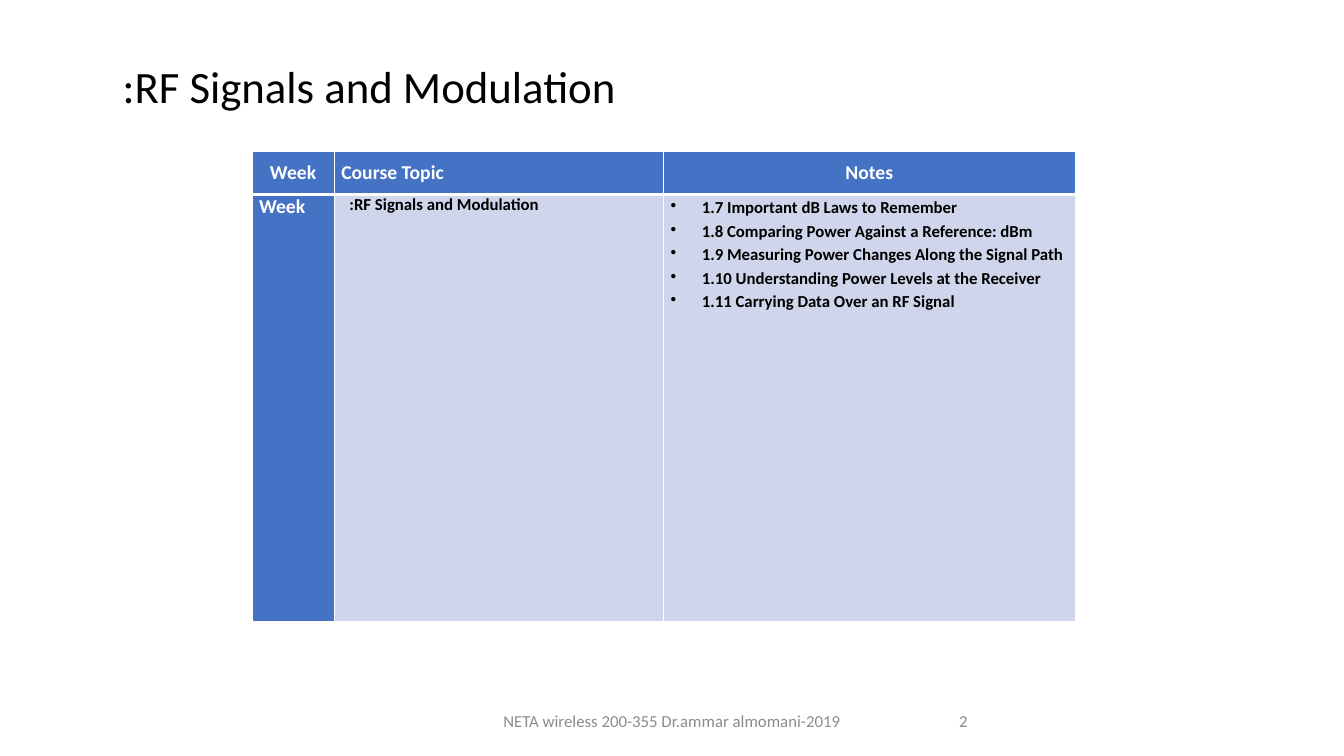
import pptx
import pptx.util
import pptx.dml.color
import pptx.enum.text
import pptx.oxml
import pptx.oxml.ns
import lxml.etree

FONT = "Calibri"
COLORS = {
    "text": "000000",
    "white": "FFFFFF",
    "header": "4472C4",
    "body": "CFD5EA",
    "footer": "8C8C8C",
    "number": "898989",
}
ALIGN = pptx.enum.text.PP_ALIGN
ANCHOR = pptx.enum.text.MSO_ANCHOR
COLUMNS, ROWS = 160, 90  # grid squares of a twelfth of an inch

HEADINGS = ["Week", "Course Topic", "Notes"]
COLUMN_SHARES = [0.1, 0.4, 0.5]
HEADER_ROWS = 5.16
NOTES = [
    "1.7 Important dB Laws to Remember",
    "1.8 Comparing Power Against a Reference: dBm",
    "1.9 Measuring Power Changes Along the Signal Path",
    "1.10 Understanding Power Levels at the Receiver",
    "1.11 Carrying Data Over an RF Signal",
]


def grid(count):
    return pptx.util.Inches(count / 12)


def rgb(name):
    return pptx.dml.color.RGBColor.from_string(COLORS[name])


def style_paragraph(para, size, color, bold=False, align=ALIGN.LEFT):
    para.alignment = align
    for span in para.runs:
        span.font.name = FONT
        span.font.size = pptx.util.Pt(size)
        span.font.bold = bold
        span.font.color.rgb = rgb(color)


def add_text(slide, box, text, size, color, align=ALIGN.LEFT):
    """Add one wrapped line, centred vertically, in a box of grid squares."""
    frame = slide.shapes.add_textbox(*map(grid, box)).text_frame
    frame.word_wrap = True
    frame.vertical_anchor = ANCHOR.MIDDLE
    frame.text = text
    style_paragraph(frame.paragraphs[0], size, color, align=align)
    return frame


def add_title(slide, box):
    frame = add_text(slide, box, ":RF Signals and Modulation", 32, "text")
    frame.vertical_anchor = ANCHOR.TOP
    frame.margin_left = pptx.util.Inches(0.3)
    frame.margin_top = pptx.util.Inches(0.24)
    frame.paragraphs[0].line_spacing = 0.9


def add_borders(cell, top, bottom):
    """Draw white borders, with the top and bottom widths in points."""
    properties = cell._tc.get_or_add_tcPr()
    widths = {"lnL": 1, "lnR": 1, "lnT": top, "lnB": bottom}
    for position, (side, width) in enumerate(widths.items()):
        line = pptx.oxml.parse_xml(
            f'<a:{side} {pptx.oxml.ns.nsdecls("a")} w="{pptx.util.Pt(width)}">'
            f'<a:solidFill><a:srgbClr val="{COLORS["white"]}"/></a:solidFill>'
            f'</a:{side}>')
        properties.insert(position, line)


def fill_cell(cell, lines, fill, size, color, align=ALIGN.LEFT):
    cell.margin_left = cell.margin_right = pptx.util.Inches(0.07)
    cell.margin_top = cell.margin_bottom = 0
    cell.fill.solid()
    cell.fill.fore_color.rgb = rgb(fill)
    cell.text_frame.text = "\n".join(lines)
    for para in cell.text_frame.paragraphs:
        style_paragraph(para, size, color, True, align)


def add_bullet(para):
    properties = para._p.get_or_add_pPr()
    indent = pptx.util.Inches(0.31)
    properties.set("marL", str(indent))
    properties.set("indent", str(-indent))
    bullet = lxml.etree.SubElement(properties, pptx.oxml.ns.qn("a:buChar"))
    bullet.set("char", "•")
    para.line_spacing = 1.15


def add_course_table(slide, box):
    left, top, width, height = box
    table = slide.shapes.add_table(2, len(HEADINGS), *map(grid, box)).table
    table.horz_banding = False
    for column, share in zip(table.columns, COLUMN_SHARES):
        column.width = grid(width * share)
    table.rows[0].height = grid(HEADER_ROWS)
    table.rows[1].height = grid(height - HEADER_ROWS)

    for index, heading in enumerate(HEADINGS):
        header = table.cell(0, index)
        align = ALIGN.LEFT if heading == "Course Topic" else ALIGN.CENTER
        fill_cell(header, [heading], "header", 14, "white", align)
        header.vertical_anchor = ANCHOR.MIDDLE
        add_borders(header, 1, 3)
        add_borders(table.cell(1, index), 3, 1)

    week, topic, notes = (table.cell(1, index) for index in range(3))
    fill_cell(week, ["Week"], "header", 14, "white")
    fill_cell(topic, [":RF Signals and Modulation"], "body", 12, "text")
    topic.margin_left = pptx.util.Inches(0.15)
    fill_cell(notes, NOTES, "body", 12, "text")
    for para in notes.text_frame.paragraphs:
        add_bullet(para)


def add_footer(slide, box):
    left, top, width, height = box
    add_text(slide, box, "NETA wireless 200-355 Dr.ammar almomani-2019",
             12, "footer", ALIGN.CENTER)
    add_text(slide, (left + width + 6, top, 36, height), "2", 12, "number")


def main():
    deck = pptx.Presentation()
    deck.slide_width, deck.slide_height = grid(COLUMNS), grid(ROWS)
    slide = deck.slides.add_slide(deck.slide_layouts[6])
    add_title(slide, (11, 4.8, 138, 17.4))
    add_course_table(slide, (30, 18, 98, 56))
    add_footer(slide, (53, 83.4, 54, 4.8))
    deck.save("out.pptx")


if __name__ == "__main__":
    main()
